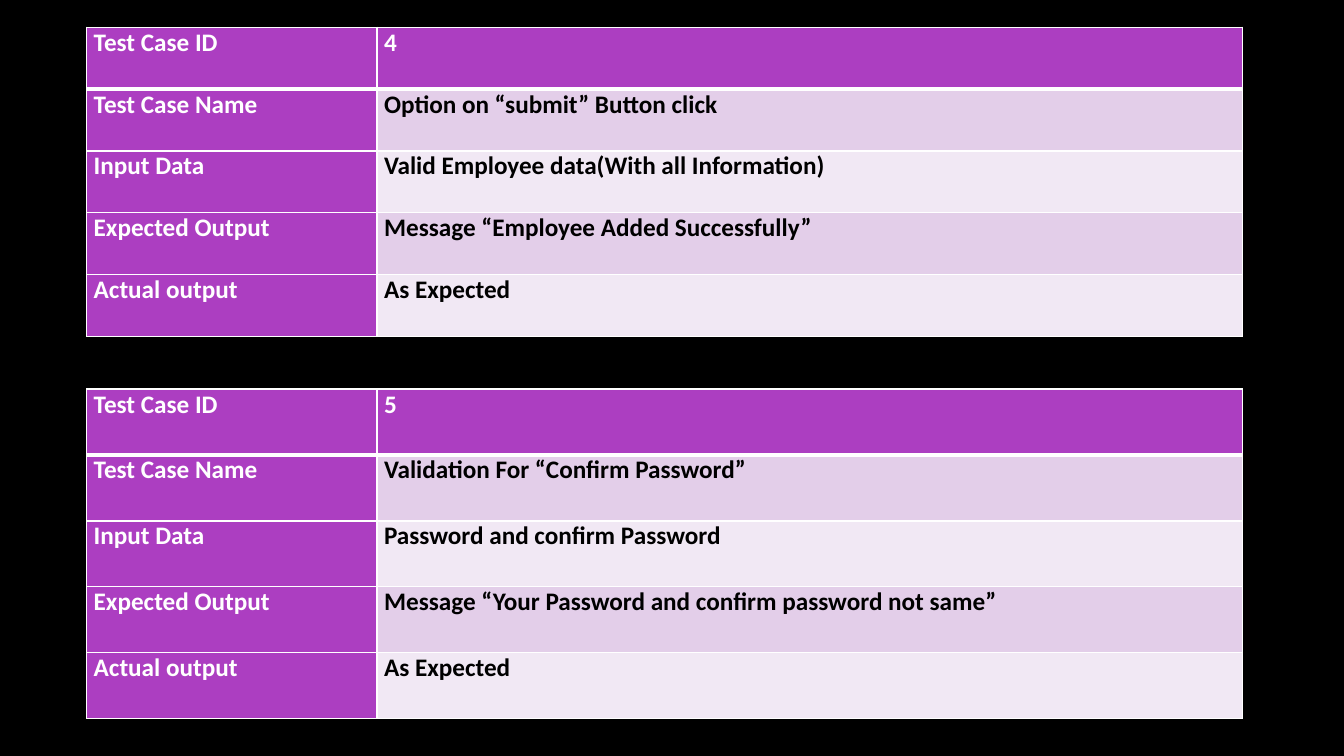
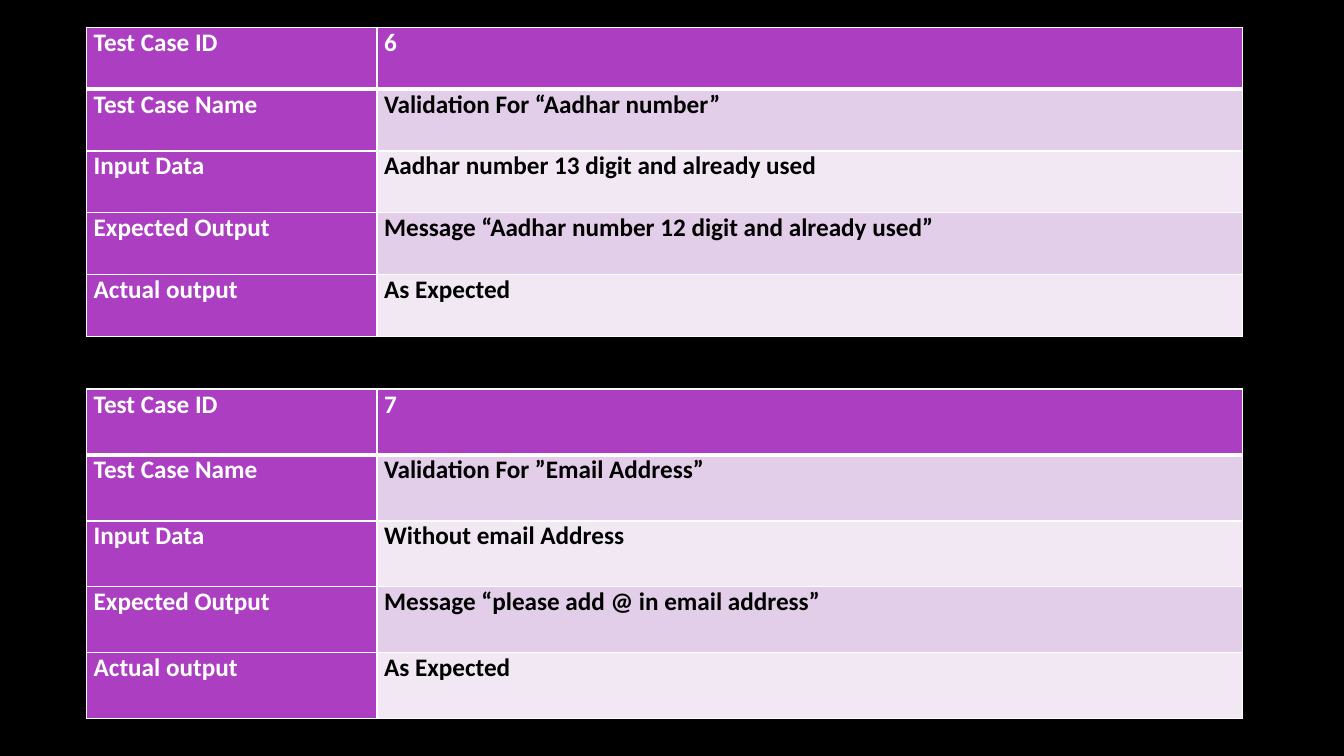
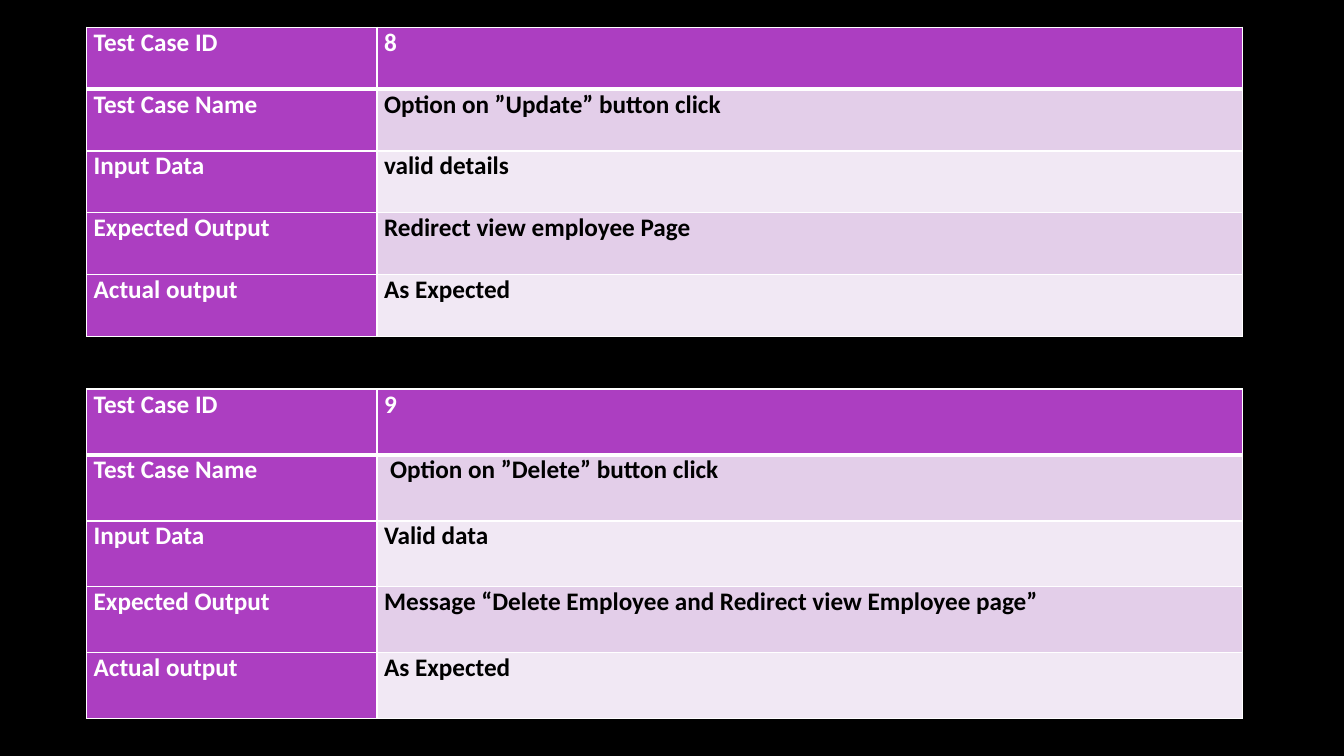
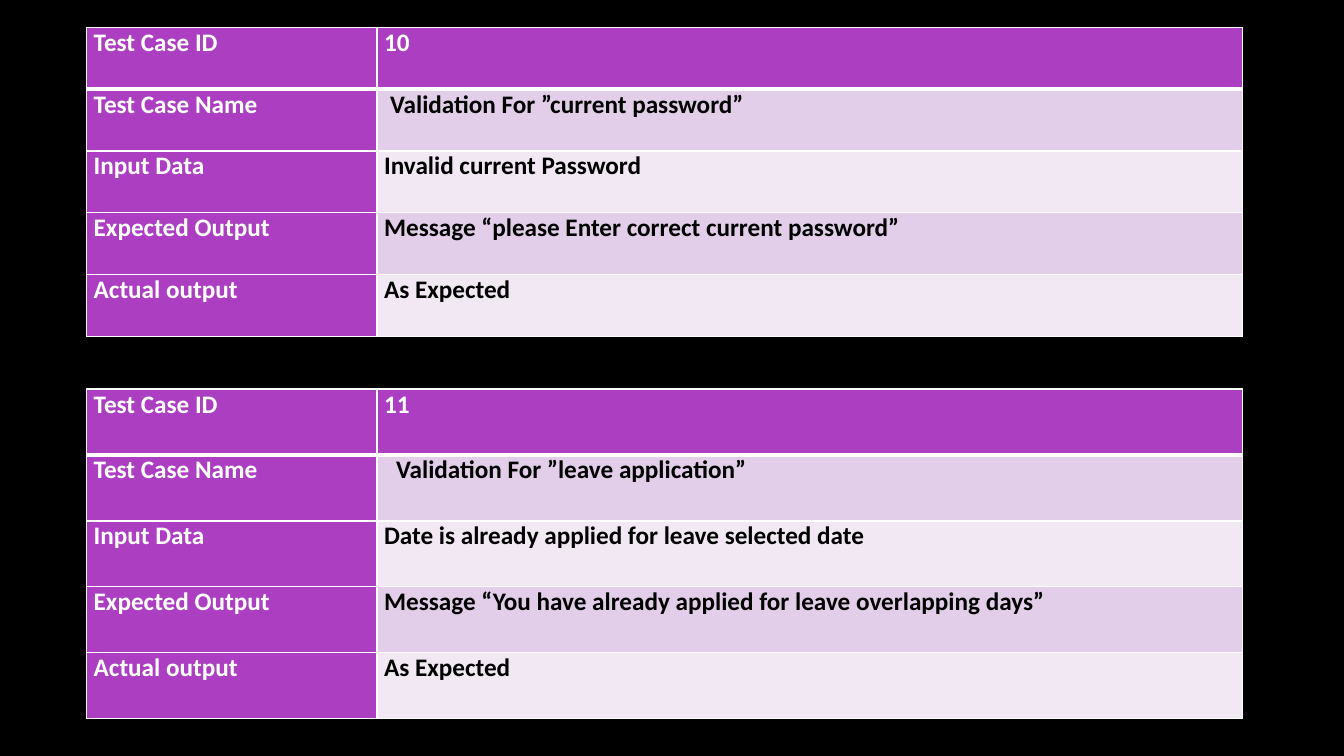
from lxml import etree
from pptx import Presentation
from pptx.dml.color import RGBColor
from pptx.oxml.ns import qn
from pptx.util import Inches, Pt

COLORS = {
    "background": "000000",
    "label": "AC3EC1",
    "band_dark": "E3CEE9",
    "band_light": "F1E8F4",
    "light_text": "FFFFFF",
    "dark_text": "000000",
    "border": "FFFFFF",
}
FONT = "Calibri"
TEXT_SIZE = 18
LABELS = ["Test Case ID", "Test Case Name", "Input Data", "Expected Output", "Actual output"]
PASSED = "As Expected"

TABLE_LEFT = 0.86
COLUMN_WIDTHS = [2.88, 8.58]
TABLE_SPANS = [(0.27, 3.07), (3.86, 3.27)]  # top and height of each table
CELL_MARGIN = 0.07
SPACE_WIDTH = 0.06

# Each case: ID, name, input, expected output, indent of the name in space widths
CASE_PAIRS = [
    [
        ("4", "Option on “submit” Button click", "Valid Employee data(With all Information)",
         "Message “Employee Added Successfully”", 0),
        ("5", "Validation For “Confirm Password”", "Password and confirm Password",
         "Message “Your Password and confirm password not same”", 0),
    ],
    [
        ("6", "Validation For “Aadhar number”", "Aadhar number 13 digit and already used",
         "Message “Aadhar number 12 digit and already used”", 0),
        ("7", "Validation For ”Email Address”", "Without email Address",
         "Message “please add @ in email address”", 0),
    ],
    [
        ("8", "Option on ”Update” button click", "valid details",
         "Redirect view employee Page", 0),
        ("9", "Option on ”Delete” button click", "Valid data",
         "Message “Delete Employee and Redirect view Employee page”", 1),
    ],
    [
        ("10", "Validation For ”current password”", "Invalid current Password",
         "Message “please Enter correct current password”", 1),
        ("11", "Validation For ”leave application”",
         "Date is already applied for leave selected date",
         "Message “You have already applied for leave overlapping days”", 2),
    ],
]


def rgb(name):
    return RGBColor.from_string(COLORS[name])


def set_borders(cell, row):
    """Draw thin borders, with a thick rule between the header and the row below."""
    widths = {"L": 1, "R": 1, "T": 3 if row == 1 else 1, "B": 3 if row == 0 else 1}
    properties = cell._tc.get_or_add_tcPr()
    for side, width in widths.items():
        line = etree.SubElement(properties, qn(f"a:ln{side}"), w=str(Pt(width)))
        fill = etree.SubElement(line, qn("a:solidFill"))
        etree.SubElement(fill, qn("a:srgbClr"), val=COLORS["border"])


def fill_cell(cell, text, row, column, indent=0):
    set_borders(cell, row)
    is_label = row == 0 or column == 0
    band = "band_dark" if row % 2 else "band_light"
    cell.fill.solid()
    cell.fill.fore_color.rgb = rgb("label" if is_label else band)
    cell.margin_left = Inches(CELL_MARGIN + indent * SPACE_WIDTH)
    cell.margin_right = Inches(CELL_MARGIN)
    cell.margin_top = cell.margin_bottom = 0
    span = cell.text_frame.paragraphs[0].add_run()
    span.text = text
    span.font.name = FONT
    span.font.size = Pt(TEXT_SIZE)
    span.font.bold = True
    span.font.color.rgb = rgb("light_text" if is_label else "dark_text")


def add_case_table(slide, case, top, height):
    *values, name_indent = case
    values.append(PASSED)
    frame = slide.shapes.add_table(
        len(LABELS), len(COLUMN_WIDTHS), Inches(TABLE_LEFT), Inches(top),
        Inches(sum(COLUMN_WIDTHS)), Inches(height))
    table = frame.table
    table.horz_banding = False
    for column, width in zip(table.columns, COLUMN_WIDTHS):
        column.width = Inches(width)
    for row, (label, value) in enumerate(zip(LABELS, values)):
        fill_cell(table.cell(row, 0), label, row, 0)
        fill_cell(table.cell(row, 1), value, row, 1, name_indent if row == 1 else 0)


def main():
    deck = Presentation()
    deck.slide_width, deck.slide_height = Inches(13.33), Inches(7.5)
    background = deck.slide_master.background.fill
    background.solid()
    background.fore_color.rgb = rgb("background")
    blank_layout = deck.slide_layouts.get_by_name("Blank")
    for pair in CASE_PAIRS:
        slide = deck.slides.add_slide(blank_layout)
        for case, (top, height) in zip(pair, TABLE_SPANS):
            add_case_table(slide, case, top, height)
    deck.save("out.pptx")


if __name__ == "__main__":
    main()
